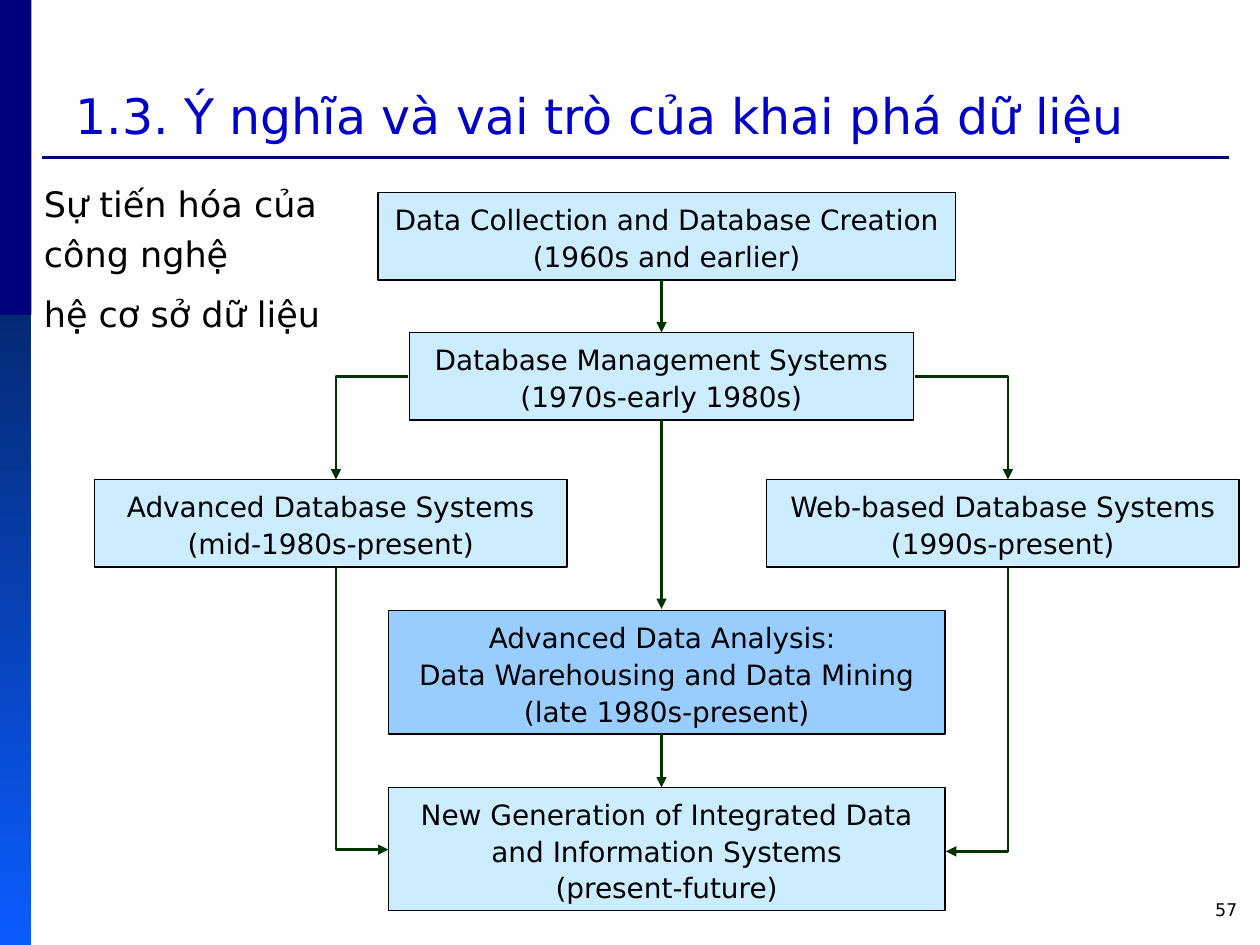
"""Build a slide charting the evolution of database technology."""
from dataclasses import dataclass

import pptx
import pptx.dml.color
import pptx.enum.shapes
import pptx.enum.text
import pptx.oxml
import pptx.oxml.ns
import pptx.util
from lxml import etree

Pt = pptx.util.Pt
RGB = pptx.dml.color.RGBColor.from_string
Align = pptx.enum.text.PP_ALIGN
Anchor = pptx.enum.text.MSO_ANCHOR
RECTANGLE = pptx.enum.shapes.MSO_SHAPE.RECTANGLE
STRAIGHT = pptx.enum.shapes.MSO_CONNECTOR.STRAIGHT
qn = pptx.oxml.ns.qn


@dataclass(frozen=True)
class Theme:
    font: str = "DejaVu Sans"
    navy: str = "00007A"
    band_top: str = "052A75"
    band_bottom: str = "0B5CFF"
    title: str = "0000CA"
    ink: str = "000000"
    stage: str = "CCECFF"
    highlight: str = "99CCFF"
    arrow: str = "003300"
    title_size: int = 28
    topic_size: int = 20
    stage_size: int = 16
    page_size: int = 10


theme = Theme()


def write(frame, lines, size, color=theme.ink, align=Align.LEFT,
          anchor=Anchor.TOP, spacing=1.0, gap=0):
    frame.word_wrap = True
    frame.vertical_anchor = anchor
    for index, line in enumerate(lines):
        paragraph = frame.paragraphs[0] if index == 0 else frame.add_paragraph()
        paragraph.text = line
        paragraph.alignment = align
        paragraph.line_spacing = spacing
        paragraph.space_before = Pt(gap if index else 0)
        paragraph.font.name = theme.font
        paragraph.font.size = Pt(size)
        paragraph.font.color.rgb = RGB(color)


def style_line(stroke, color, arrowhead=True):
    stroke.line.color.rgb = RGB(color)
    stroke.line.width = Pt(1.5)
    properties = stroke._element.spPr
    if arrowhead:
        etree.SubElement(properties.find(qn("a:ln")), qn("a:tailEnd"), type="triangle")
    if properties.find(qn("a:effectLst")) is None:
        etree.SubElement(properties, qn("a:effectLst"))


presentation = pptx.Presentation()
presentation.slide_width = Pt(720)
presentation.slide_height = Pt(540)
slide = presentation.slides.add_slide(presentation.slide_layouts[6])
shapes = slide.shapes

upper_band = shapes.add_shape(RECTANGLE, Pt(0), Pt(0), Pt(18), Pt(180))
upper_band.fill.solid()
upper_band.fill.fore_color.rgb = RGB(theme.navy)
lower_band = shapes.add_shape(RECTANGLE, Pt(0), Pt(180), Pt(18), Pt(360))
lower_band.fill.gradient()
lower_band.fill.gradient_angle = 270
for stop, color in zip(lower_band.fill.gradient_stops, (theme.band_top, theme.band_bottom)):
    stop.color.rgb = RGB(color)
for band in (upper_band, lower_band):
    band.line.fill.background()
    band.shadow.inherit = False

title_rule = shapes.add_connector(STRAIGHT, Pt(24), Pt(90), Pt(702), Pt(90))
style_line(title_rule, theme.navy, arrowhead=False)

title = shapes.add_textbox(Pt(36), Pt(6), Pt(672), Pt(80))
write(title.text_frame, ["1.3. Ý nghĩa và vai trò của khai phá dữ liệu"],
      theme.title_size, theme.title, anchor=Anchor.BOTTOM)

stages = {
    "collection": (216, 110, 330, 50, theme.stage,
                   ["Data Collection and Database Creation", "(1960s and earlier)"]),
    "management": (234, 190, 288, 50, theme.stage,
                   ["Database Management Systems", "(1970s-early 1980s)"]),
    "advanced": (54, 274, 270, 50, theme.stage,
                 ["Advanced Database Systems", "(mid-1980s-present)"]),
    "analysis": (222, 349, 318, 70.5, theme.highlight,
                 ["Advanced Data Analysis: ", "Data Warehousing and Data Mining",
                  "(late 1980s-present)"]),
    "web": (438, 274, 270, 50, theme.stage,
            ["Web-based Database Systems", "(1990s-present)"]),
    "integrated": (222, 450, 318, 70.5, theme.stage,
                   ["New Generation of Integrated Data and Information Systems",
                    "(present-future)"]),
}
boxes = {}
for name, (left, top, width, height, fill, lines) in stages.items():
    box = shapes.add_shape(RECTANGLE, Pt(left), Pt(top), Pt(width), Pt(height))
    box.shadow.inherit = False
    box.fill.solid()
    box.fill.fore_color.rgb = RGB(fill)
    box.line.color.rgb = RGB(theme.ink)
    box.line.width = Pt(0.75)
    write(box.text_frame, lines, theme.stage_size, align=Align.CENTER,
          anchor=Anchor.MIDDLE, spacing=1.1)
    boxes[name] = box

spine = 378
descents = []
for start, end in ((160, 190), (240, 348), (419.5, 450)):
    descent = shapes.add_connector(STRAIGHT, Pt(spine), Pt(start), Pt(spine), Pt(end))
    style_line(descent, theme.arrow)
    descents.append(descent)
descents[0].end_connect(boxes["management"], 0)
descents[1].begin_connect(boxes["management"], 2)

left_lane, right_lane = 192, 576
routes = [
    [(523, 215), (right_lane, 215), (right_lane, 274)],
    [(233, 215), (left_lane, 215), (left_lane, 274)],
    [(left_lane, 324), (left_lane, 485.5), (222, 485.5)],
    [(right_lane, 324), (right_lane, 486.5), (540.5, 486.5)],
]
for route in routes:
    start, *turns = [(Pt(x), Pt(y)) for x, y in route]
    builder = shapes.build_freeform(*start)
    builder.add_line_segments(turns, close=False)
    branch = builder.convert_to_shape()
    branch.fill.background()
    branch.shadow.inherit = False
    style_line(branch, theme.arrow)

topic = shapes.add_textbox(Pt(18), Pt(96), Pt(180), Pt(98.5))
write(topic.text_frame, ["Sự tiến hóa của công nghệ", "hệ cơ sở dữ liệu"],
      theme.topic_size, spacing=1.2, gap=5)

page_number = shapes.add_textbox(Pt(546), Pt(510), Pt(168), Pt(24))
write(page_number.text_frame, ["57"], theme.page_size, align=Align.RIGHT)

presentation.save("out.pptx")
